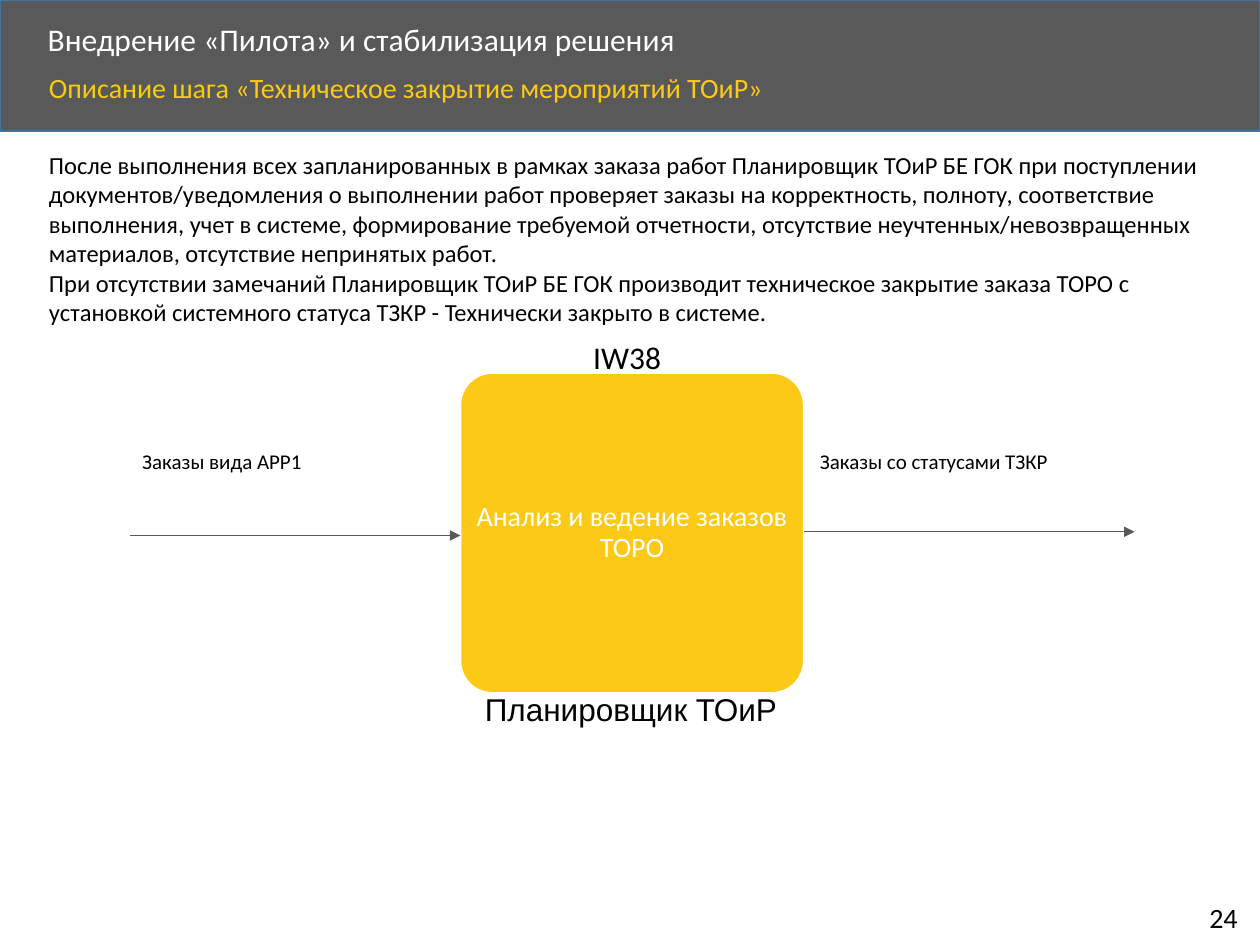
import pptx
import pptx.util
import pptx.dml.color
import pptx.enum.shapes
import pptx.enum.text
import pptx.oxml.ns
import lxml.etree

Pt = pptx.util.Pt
SHAPE = pptx.enum.shapes.MSO_SHAPE
ALIGN = pptx.enum.text.PP_ALIGN
ANCHOR = pptx.enum.text.MSO_ANCHOR
qn = pptx.oxml.ns.qn

GREY, GOLD, WHITE, BLACK = "595959", "FCC917", "FFFFFF", "000000"

# Each text: paragraphs of (words, colour) runs, box in points, size, options
TITLE = [[("Внедрение «Пилота» и стабилизация решения", WHITE)]]
STEP = [[("Описание шага ", "F6CC0C"),
         ("«Техническое закрытие мероприятий ТОиР»", GOLD)]]
BODY = [
    [("После выполнения всех запланированных в рамках заказа работ Планировщик "
      "ТОиР БЕ ГОК при поступлении документов/уведомления о выполнении работ "
      "проверяет заказы на корректность, полноту, соответствие выполнения, учет "
      "в системе, формирование требуемой отчетности, отсутствие "
      "неучтенных/невозвращенных материалов, отсутствие непринятых работ.", BLACK)],
    [("При отсутствии замечаний Планировщик ТОиР БЕ ГОК производит техническое "
      "закрытие заказа ТОРО с установкой системного статуса ТЗКР - Технически "
      "закрыто в системе.", BLACK)],
]
TASK = [[("Анализ и ведение заказов ТОРО", WHITE)]]

BAND = (0, 0, 720, 74.9)
CARD = (263.1, 213.1, 196.2, 182.9)
INSET = 4.5
REACH = 189

left, top, wide, high = CARD
right = left + wide
inner = (left + INSET, top + INSET, wide - 2 * INSET, high - 2 * INSET)

TEXTS = [
    (TITLE, (20.2, 10.1, 581, 27.4), 18, {"mid": True, "lead": 0.9}),
    ([[("24", BLACK)]], (684, 511.2, 33.1, 26.6), 16, {"wrap": False}),
    (STEP, (20.9, 38.9, 622.8, 32.4), 16, {"lead": 0.9}),
    (BODY, (20.9, 82.1, 681.1, 108.7), 14, {}),
    (TASK, inner, 16,
     {"mid": True, "lead": 0.9, "align": ALIGN.CENTER, "pad": 0.8}),
    ([[("IW38", BLACK)]], (331.9, 189.4, 54, 28.8), 18, {"wrap": False}),
    ([[("Заказы вида APP1", BLACK)]], (74.2, 252.7, 185, 21.6), 12, {}),
    ([[("Планировщик ТОиР", BLACK)]], (270, 391, 182.2, 28.8), 18, {"face": "Arial"}),
    ([[("Заказы со статусами ТЗКР", BLACK)]], (461.5, 252.7, 185, 21.6), 12, {}),
]
ARROWS = [(left - REACH, left, 306), (right, right + REACH, 303.9)]


def color(code):
    return pptx.dml.color.RGBColor.from_string(code)


def block(slide, kind, box, fill, edge):
    shape = slide.shapes.add_shape(kind, *map(Pt, box))
    shape.shadow.inherit = False
    shape.fill.solid()
    shape.fill.fore_color.rgb = color(fill)
    shape.line.color.rgb = color(edge)
    shape.line.width = Pt(1)
    return shape


def text(slide, paras, box, size, face="Calibri", wrap=True, mid=False,
         lead=None, align=ALIGN.LEFT, pad=None):
    frame = slide.shapes.add_textbox(*map(Pt, box)).text_frame
    frame.word_wrap = wrap
    frame.vertical_anchor = ANCHOR.MIDDLE if mid else ANCHOR.TOP
    if pad is not None:
        frame.margin_left = frame.margin_right = Pt(pad)
        frame.margin_top = frame.margin_bottom = Pt(pad)
    for index, runs in enumerate(paras):
        para = frame.add_paragraph() if index else frame.paragraphs[0]
        para.alignment = align
        if lead:
            para.line_spacing = lead
        for words, tint in runs:
            run = para.add_run()
            run.text = words
            run.font.name = face
            run.font.size = Pt(size)
            run.font.color.rgb = color(tint)


def arrow(slide, start, end, level):
    link = slide.shapes.add_connector(
        pptx.enum.shapes.MSO_CONNECTOR.STRAIGHT,
        Pt(start), Pt(level), Pt(end), Pt(level))
    link.line.color.rgb = color(GREY)
    link.line.width = Pt(0.5)
    props = link._element.spPr
    lxml.etree.SubElement(props.find(qn("a:ln")), qn("a:tailEnd"), type="triangle")
    lxml.etree.SubElement(props, qn("a:effectLst"))


def main():
    deck = pptx.Presentation()
    deck.slide_width, deck.slide_height = Pt(720), Pt(540)
    slide = deck.slides.add_slide(deck.slide_layouts[6])
    block(slide, SHAPE.RECTANGLE, BAND, GREY, "43739E")
    card = block(slide, SHAPE.ROUNDED_RECTANGLE, CARD, GOLD, WHITE)
    card.adjustments[0] = 0.1
    for paras, box, size, opts in TEXTS:
        text(slide, paras, box, size, **opts)
    for start, end, level in ARROWS:
        arrow(slide, start, end, level)
    deck.save("out.pptx")


if __name__ == "__main__":
    main()
